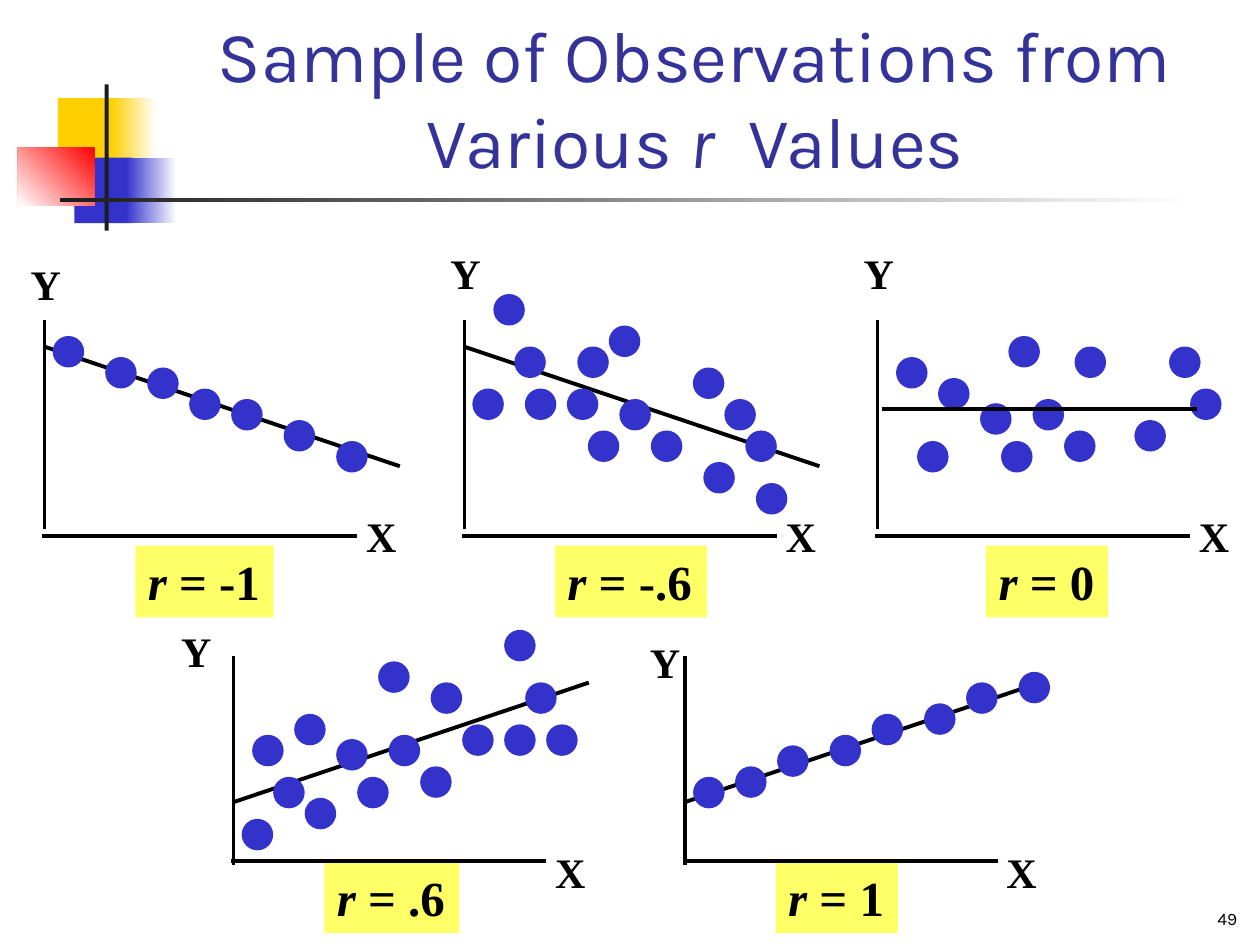
from lxml import etree
from pptx import Presentation
from pptx.dml.color import RGBColor
from pptx.enum.shapes import MSO_CONNECTOR, MSO_SHAPE
from pptx.enum.text import MSO_ANCHOR, MSO_AUTO_SIZE, PP_ALIGN
from pptx.oxml.ns import qn
from pptx.util import Cm, Pt

LINE = MSO_CONNECTOR.STRAIGHT
RECT, OVAL = MSO_SHAPE.RECTANGLE, MSO_SHAPE.OVAL
BOTTOM = MSO_ANCHOR.BOTTOM
FIT, FIXED = MSO_AUTO_SIZE.SHAPE_TO_FIT_TEXT, MSO_AUTO_SIZE.NONE
CENTER, RIGHT = PP_ALIGN.CENTER, PP_ALIGN.RIGHT

SERIF, SANS = "Times New Roman", "Karla"
BLACK, WHITE, BLUE = "000000", "FFFFFF", "3333CC"
GOLD, RED, DARK = "FFCF01", "FF0000", "1C1C1C"
STEP = 2.54 / 12
DOT = 3 * STEP
FALL = (0.05, 0.64, 7.21, 3.05)
RISE = (0.05, 3.05, 7.21, 0.64)
FLAT = (0.15, 1.9, 6.5, 1.9)

PLOTS = [
    dict(at=(0.85, 6.35), base=4.45, trend=FALL, y_at=(-0.48, -1.27),
         tag=(" = -1", 1.88, 4.65, 2.79),
         dots=[(28, 12), (18, 8), (14, 7), (1, 2), (6, 4), (10, 5), (23, 10)]),
    dict(at=(9.31, 6.35), base=4.45, trend=FALL, y_at=(-0.48, -1.48),
         tag=(" = -.6", 1.88, 4.65, 3.06),
         dots=[(28, 16), (27, 11), (3, -2), (5, 3), (23, 14), (1, 7), (18, 11),
               (11, 3), (14, 1), (25, 8), (6, 7), (22, 5), (10, 7), (15, 8),
               (12, 11)]),
    dict(at=(17.64, 6.35), base=4.45, trend=FLAT, y_at=(-0.48, -1.48),
         tag=(" = 0", 2.24, 4.65, 2.46), over=True,
         dots=[(4, 12), (28, 3), (30, 7), (18, 11), (19, 3), (12.7, 2), (2, 4),
               (6, 6), (10, 8.4), (15, 8), (12, 12), (24.7, 10)]),
    dict(at=(4.66, 13.12), base=4.24, trend=RISE, y_at=(-1.26, -0.63),
         tag=(" = .6", 1.88, 4.24, 2.72),
         dots=[(1, 16), (4, 12), (26, -2), (28, 3), (7, 14), (30, 7), (18, 11),
               (19, 3), (14, 1), (2, 8), (6, 6), (10, 8.4), (22, 7), (15, 8),
               (12, 12), (26, 7)]),
    dict(at=(13.76, 13.12), base=4.24, trend=RISE, y_at=(-0.91, -0.42),
         tag=(" = 1", 1.88, 4.24, 2.46),
         dots=[(1, 12), (5, 11), (32, 2), (27, 3), (9, 9), (18, 6), (14, 8),
               (23, 5)]),
]


def tint(code):
    return RGBColor.from_string(code)


def write(para, text, face, size, color, bold=False, slant=False):
    run = para.add_run()
    run.text = text
    font = run.font
    font.name, font.size = face, Pt(size)
    font.bold, font.italic = bold, slant
    font.color.rgb = tint(color)


def block(slide, kind, x, y, w, h, *colors, angle=180):
    shape = slide.shapes.add_shape(kind, Cm(x), Cm(y), Cm(w), Cm(h))
    shape.shadow.inherit = False
    shape.line.fill.background()
    if len(colors) == 1:
        shape.fill.solid()
        shape.fill.fore_color.rgb = tint(colors[0])
    else:
        shape.fill.gradient()
        shape.fill.gradient_angle = angle
        for stop, color in zip(shape.fill.gradient_stops, colors):
            stop.color.rgb = tint(color)


def stroke(slide, x1, y1, x2, y2, width=2):
    line = slide.shapes.add_connector(LINE, Cm(x1), Cm(y1), Cm(x2), Cm(y2))
    line.line.color.rgb = tint(BLACK)
    line.line.width = Pt(width)
    etree.SubElement(line._element.spPr, qn("a:effectLst"))


def label(slide, x, y, w, h, size, *parts, fill=None):
    box = slide.shapes.add_textbox(Cm(x), Cm(y), Cm(w), Cm(h))
    if fill:
        box.fill.solid()
        box.fill.fore_color.rgb = tint(fill)
    frame = box.text_frame
    frame.word_wrap = False
    frame.auto_size = FIT
    for text, slant in parts:
        write(frame.paragraphs[0], text, SERIF, size, BLACK, True, slant)


def plot(slide, at, base, trend, y_at, tag, dots, over=False):
    x, y = at
    text, dx, dy, wide = tag
    label(slide, x + dx, y + dy, wide, 1.45, 28,
          ("r", True), (text, False), fill="FFFF66")
    stroke(slide, x + 0.05, y + 0.1, x + 0.05, y + 4.32)
    stroke(slide, x, y + base, x + 6.35, y + base)
    x1, y1, x2, y2 = trend
    ends = x + x1, y + y1, x + x2, y + y2
    if not over:
        stroke(slide, *ends, 2.25)
    for col, row in dots:
        block(slide, OVAL, x + col * STEP, y + row * STEP, DOT, DOT, BLUE)
    if over:
        stroke(slide, *ends)
    label(slide, x + y_at[0], y + y_at[1], 1.12, 1.27, 24, ("Y", False))
    label(slide, x + 6.28, y + 3.81, 1.12, 1.27, 24, ("X", False))


def motif(slide, x, y):
    block(slide, RECT, x + 0.81, y + 0.28, 1.22, 1.32, GOLD)
    block(slide, RECT, x + 1.88, y + 0.28, 0.91, 1.32, WHITE, GOLD)
    block(slide, RECT, x + 1.14, y + 1.48, 1.17, 1.32, BLUE)
    block(slide, RECT, x + 2.18, y + 1.48, 1.02, 1.32, WHITE, BLUE)
    block(slide, RECT, x, y + 1.27, 1.55, 1.17, RED, WHITE, angle=225)
    block(slide, RECT, x + 1.75, y, 0.08, 2.95, DARK)
    block(slide, RECT, x + 0.86, y + 2.29, 22.86, 0.08, WHITE, DARK)


def heading(slide, x, y, w, h):
    title = slide.shapes.title
    title.left, title.top, title.width, title.height = map(Cm, (x, y, w, h))
    frame = title.text_frame
    frame.auto_size, frame.word_wrap = FIXED, True
    frame.vertical_anchor = BOTTOM
    para = frame.paragraphs[0]
    para.alignment = CENTER
    for text, slant in (("Sample of Observations from Various ", False),
                        ("r", True), ("  Values", False)):
        write(para, text, SANS, 41, "333399", slant=slant)


def number(slide, x, y, w, h):
    frame = slide.shapes.add_textbox(Cm(x), Cm(y), Cm(w), Cm(h)).text_frame
    frame.word_wrap = True
    frame.vertical_anchor = BOTTOM
    frame.paragraphs[0].alignment = RIGHT
    write(frame.paragraphs[0], "49", SANS, 10, BLACK)


def main():
    deck = Presentation()
    deck.slide_width, deck.slide_height = Cm(25.4), Cm(19.05)
    slide = deck.slides.add_slide(deck.slide_layouts[5])
    motif(slide, 0.36, 1.7)
    heading(slide, 3.2, 0.64, 21.64, 3.18)
    for item in PLOTS:
        plot(slide, **item)
    number(slide, 19.91, 17.55, 5.28, 1.3)
    deck.save("out.pptx")


if __name__ == "__main__":
    main()
